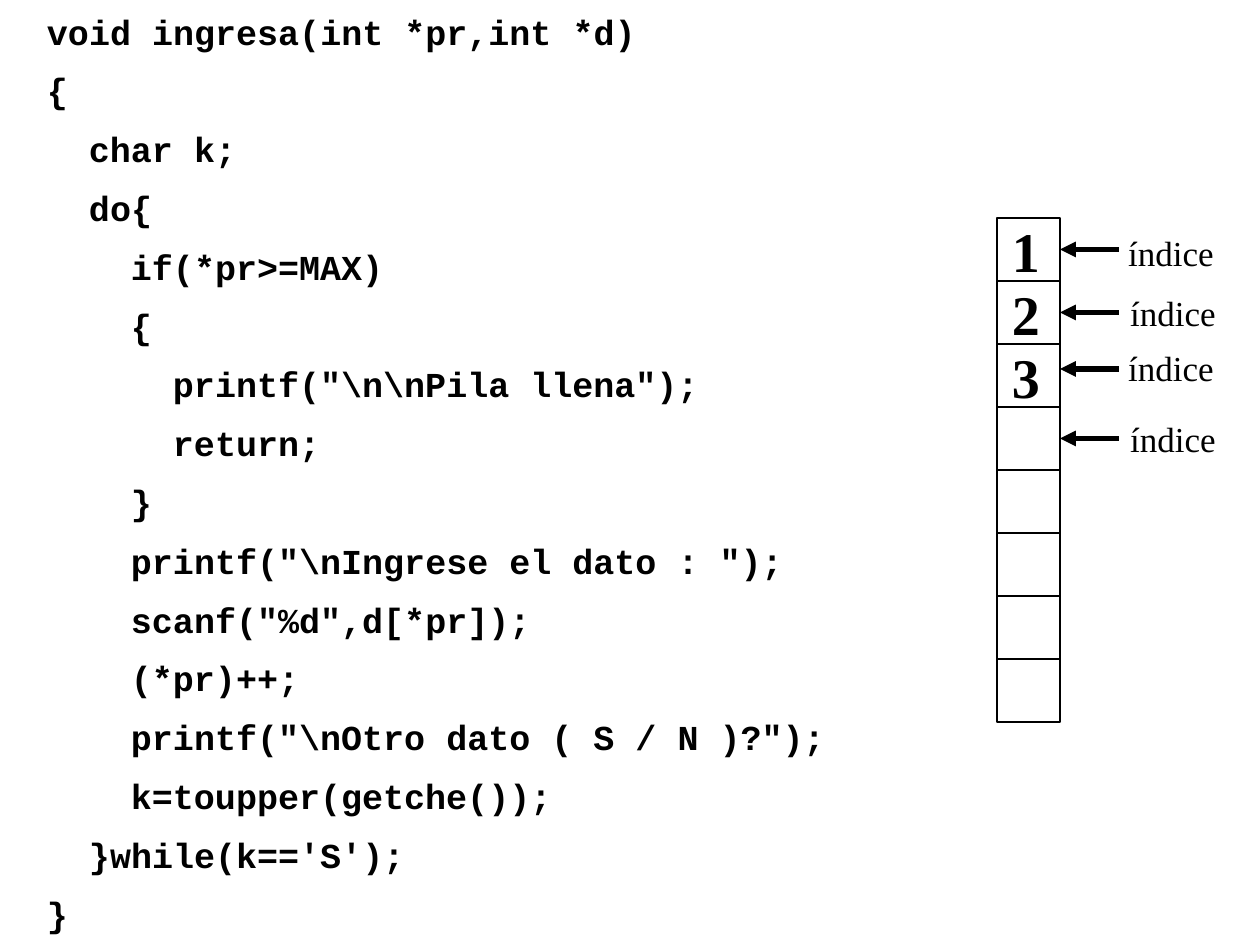
from lxml import etree
from pptx import Presentation
from pptx.dml.color import RGBColor
from pptx.enum.shapes import MSO_CONNECTOR as CONN, MSO_SHAPE as SHAPE
from pptx.enum.text import MSO_ANCHOR as ANCHOR, PP_ALIGN as ALIGN
from pptx.oxml.ns import qn
from pptx.util import Pt

BLACK = RGBColor(0, 0, 0)
WHITE = RGBColor(255, 255, 255)
CODE_FONT, TEXT_FONT = "Courier New", "Times New Roman"


def px(n):
    return round(n * 914400 / 126)


def add_text(shapes, text, box, font, size, bold, margins=(0, 0, 0, 0)):
    sp = shapes.add_textbox(*map(px, box))
    tf = sp.text_frame
    tf.word_wrap = False
    tf.vertical_anchor = ANCHOR.MIDDLE
    tf.margin_left, tf.margin_top, tf.margin_right, tf.margin_bottom = map(px, margins)
    p = tf.paragraphs[0]
    r = p.add_run()
    r.text = text
    r.font.name, r.font.size, r.font.bold = font, Pt(size), bold
    r.font.color.rgb = BLACK
    return sp


prs = Presentation()
prs.slide_width, prs.slide_height = px(1260), px(945)
s = prs.slides.add_slide(prs.slide_layouts[6])

# Stack of eight cells
CELL, STACK_X, STACK_Y = 63, 997, 218
stack = s.shapes.add_group_shape()
cells = []
for i in range(8):
    sp = stack.shapes.add_shape(SHAPE.RECTANGLE, px(STACK_X), px(STACK_Y + i * CELL), px(CELL), px(CELL))
    sp.shadow.inherit = False
    sp.fill.solid()
    sp.fill.fore_color.rgb = WHITE
    sp.line.color.rgb = BLACK
    sp.line.width = Pt(0.75)
    cells.append(sp)

# Values in the first cells
for i, value in enumerate("123"):
    sp = add_text(s.shapes, value, (1007, 231 + i * CELL, 38, 38), TEXT_FONT, 32, True)
    sp.fill.solid()
    sp.fill.fore_color.rgb = WHITE
    sp.text_frame.paragraphs[0].alignment = ALIGN.CENTER

# Index labels with arrows: label left, label top, arrow y (None = middle of the cell)
pointers = [(1127, 234, None), (1129, 293, None), (1127, 349, 369), (1129, 419, None)]
for cell, (x, y, arrow_y) in zip(cells, pointers):
    grp = s.shapes.add_group_shape()
    sp = add_text(grp.shapes, "índice", (x, y, 88, 38), TEXT_FONT, 20, False)
    sp.fill.solid()
    sp.fill.fore_color.rgb = WHITE
    sp.text_frame.paragraphs[0].alignment = ALIGN.CENTER

    level = px(arrow_y) if arrow_y else cell.top + cell.height // 2
    arrow = grp.shapes.add_connector(CONN.STRAIGHT, px(1119), level, px(STACK_X + CELL), level)
    if arrow_y is None:
        arrow.end_connect(cell, 3)
    arrow.line.color.rgb = BLACK
    arrow.line.width = Pt(3)
    etree.SubElement(arrow.line._get_or_add_ln(), qn("a:tailEnd"), type="triangle")
    etree.SubElement(arrow._element.spPr, qn("a:effectLst"))

# Code listing: indent level, text
CHAR, INDENT = 21, 42
code = [
    (0, "void ingresa(int *pr,int *d)"),
    (0, "{"),
    (1, "char k;"),
    (1, "do{"),
    (2, "if(*pr>=MAX)"),
    (2, "{"),
    (3, r'printf("\n\nPila llena");'),
    (3, "return;"),
    (2, "}"),
    (2, r'printf("\nIngrese el dato : ");'),
    (2, 'scanf("%d",d[*pr]);'),
    (2, "(*pr)++;"),
    (2, r'printf("\nOtro dato ( S / N )?");'),
    (2, "k=toupper(getche());"),
    (1, "}while(k=='S');"),
    (0, "}"),
]
# The right margin is narrower than the left one so that each line fits its box
for i, (level, text) in enumerate(code):
    indent = level * INDENT
    box = (34, 4 + i * 294 // 5, 26 + indent + len(text) * CHAR, 55)
    add_text(s.shapes, text, box, CODE_FONT, 20, True, (13 + indent, 6, 6, 6))

prs.save("out.pptx")
